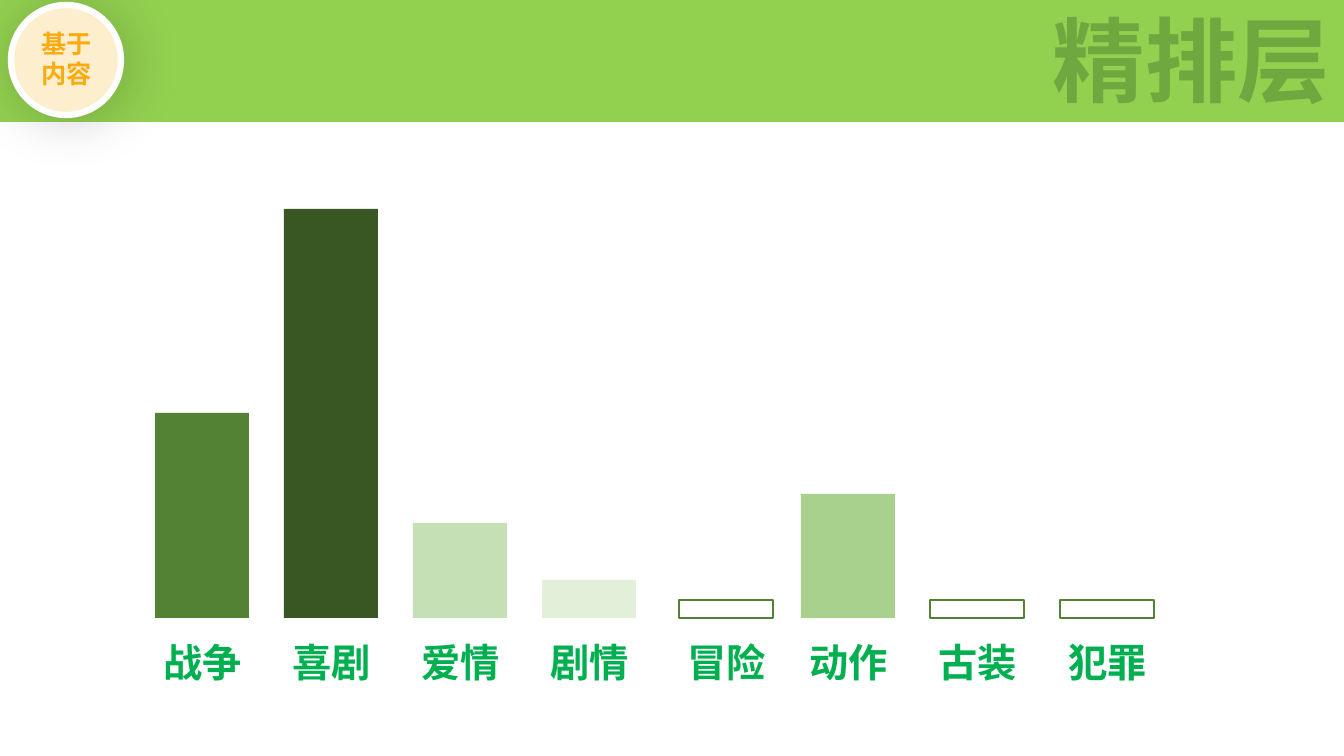
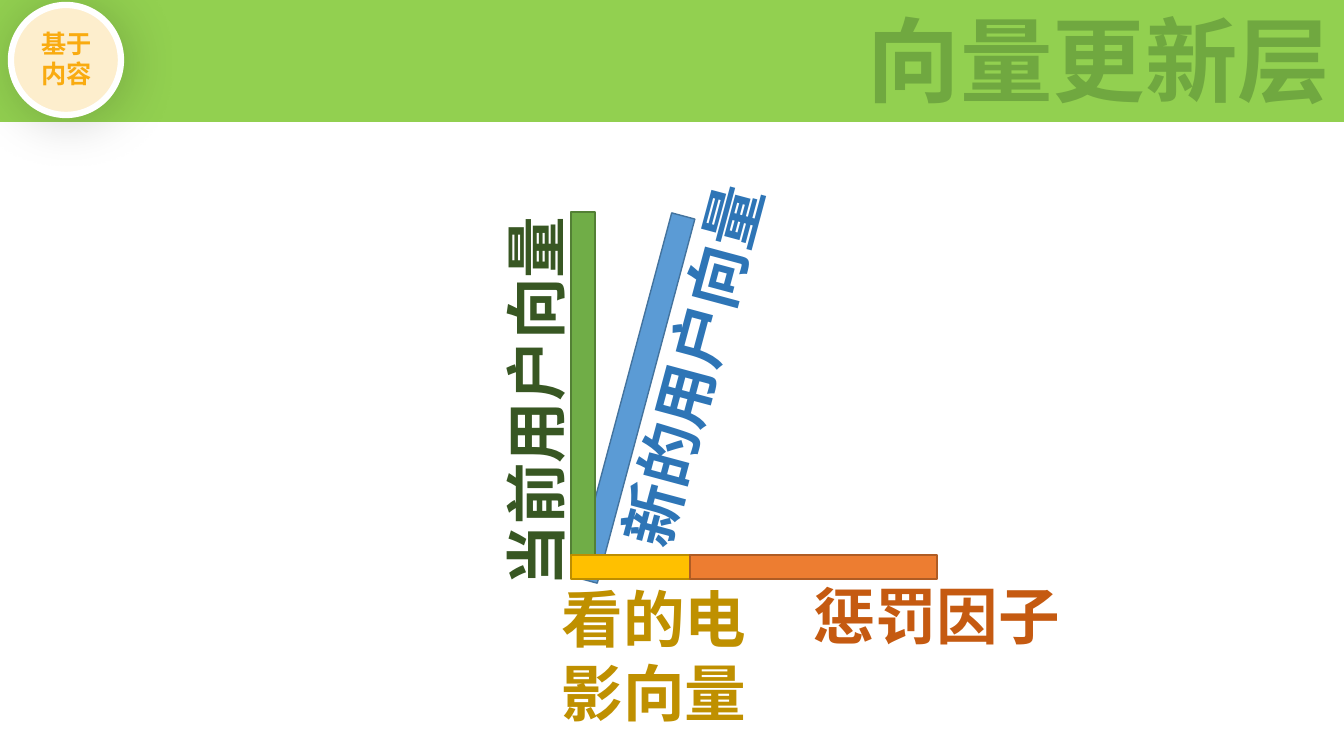
"""Builds two slides on a recommender: genre weights and the user vector update."""
import dataclasses

import lxml.etree
import pptx
import pptx.dml.color
import pptx.enum.shapes
import pptx.enum.text
import pptx.oxml.ns
import pptx.util

PIXELS_PER_INCH = 100.8
SLIDE_WIDTH, SLIDE_HEIGHT = 1344, 756
RECTANGLE = pptx.enum.shapes.MSO_SHAPE.RECTANGLE
OVAL = pptx.enum.shapes.MSO_SHAPE.OVAL
CENTER = pptx.enum.text.PP_ALIGN.CENTER
RIGHT = pptx.enum.text.PP_ALIGN.RIGHT


@dataclasses.dataclass(frozen=True)
class Theme:
    font: str = "Noto Sans CJK SC"
    title_size: int = 66
    vector_size: int = 44
    label_size: int = 28
    badge_size: int = 18
    line_spacing: float = 1.2
    thin_line: float = 1
    badge_line: float = 4.5
    white: str = "FFFFFF"
    black: str = "000000"
    band: str = "92D050"
    title: str = "70A840"
    badge_fill: str = "FDEECD"
    badge_text: str = "F9AB10"
    label: str = "00B050"
    green_darkest: str = "385723"
    green_dark: str = "548235"
    green_medium: str = "A9D18E"
    green_light: str = "C5E0B4"
    green_pale: str = "E2F0D9"
    green: str = "70AD47"
    green_line: str = "538035"
    blue: str = "5B9BD5"
    blue_line: str = "43739E"
    blue_text: str = "2E75B6"
    gold: str = "FFC000"
    gold_line: str = "BD8E00"
    gold_text: str = "BF9000"
    orange: str = "ED7D31"
    orange_line: str = "AF5C24"
    orange_text: str = "C55A11"


def px(length):
    return pptx.util.Emu(round(length * 914400 / PIXELS_PER_INCH))


def rgb(color):
    return pptx.dml.color.RGBColor.from_string(color)


class Deck:
    def __init__(self, theme):
        self.theme = theme
        self.presentation = pptx.Presentation()
        self.presentation.slide_width = px(SLIDE_WIDTH)
        self.presentation.slide_height = px(SLIDE_HEIGHT)
        self.slide = None

    def start_slide(self, title):
        layout = self.presentation.slide_layouts[5]
        self.slide = self.presentation.slides.add_slide(layout)
        self.shape((0, 0, SLIDE_WIDTH, 122), self.theme.band)
        self.title(title)
        self.badge(["基于", "内容"])

    def title(self, words):
        title = self.slide.shapes.title
        title.element.getparent().append(title.element)
        title.left, title.top, title.width, title.height = map(px, (140, 3, 1190, 112))
        frame = title.text_frame
        frame.margin_left = frame.margin_right = 0
        frame.margin_top = frame.margin_bottom = 0
        self.fill_text(title, [words], self.theme.title_size, self.theme.title, RIGHT)

    def badge(self, lines):
        group = self.slide.shapes.add_group_shape()
        disc = self.shape((11, 5, 110, 110), self.theme.badge_fill, self.theme.white,
                          kind=OVAL, line_width=self.theme.badge_line, container=group)
        self.soft_shadow(disc)
        self.text((20, 23, 93, 72), lines, self.theme.badge_size,
                  self.theme.badge_text, container=group)

    def soft_shadow(self, shape):
        qn = pptx.oxml.ns.qn
        effects = shape.element.spPr.find(qn("a:effectLst"))
        shadow = lxml.etree.SubElement(
            effects, qn("a:outerShdw"), blurRad=str(pptx.util.Pt(39)),
            dist=str(pptx.util.Pt(3)), dir=str(45 * 60000), rotWithShape="0")
        color = lxml.etree.SubElement(shadow, qn("a:srgbClr"), val=self.theme.black)
        lxml.etree.SubElement(color, qn("a:alpha"), val="19000")

    def shape(self, box, fill, line=None, rotation=0, kind=RECTANGLE,
              line_width=None, container=None):
        shapes = (container or self.slide).shapes
        shape = shapes.add_shape(kind, *map(px, box))
        shape.shadow.inherit = False
        shape.rotation = rotation
        shape.fill.solid()
        shape.fill.fore_color.rgb = rgb(fill)
        if line:
            shape.line.color.rgb = rgb(line)
            shape.line.width = pptx.util.Pt(line_width or self.theme.thin_line)
        else:
            shape.line.fill.background()
        return shape

    def text(self, box, lines, size, color, rotation=0, container=None):
        shapes = (container or self.slide).shapes
        shape = shapes.add_textbox(*map(px, box))
        shape.rotation = rotation
        self.fill_text(shape, lines, size, color, CENTER)

    def fill_text(self, shape, lines, size, color, alignment):
        frame = shape.text_frame
        frame.word_wrap = True
        frame.auto_size = pptx.enum.text.MSO_AUTO_SIZE.NONE
        frame.vertical_anchor = pptx.enum.text.MSO_ANCHOR.TOP
        for index, words in enumerate(lines):
            paragraph = frame.add_paragraph() if index else frame.paragraphs[0]
            paragraph.alignment = alignment
            paragraph.line_spacing = pptx.util.Pt(size * self.theme.line_spacing)
            run = paragraph.add_run()
            run.text = words
            run.font.name = self.theme.font
            run.font.size = pptx.util.Pt(size)
            run.font.bold = True
            run.font.color.rgb = rgb(color)
        qn = pptx.oxml.ns.qn
        for properties in shape.element.iter(qn("a:rPr")):
            lxml.etree.SubElement(properties, qn("a:ea"), typeface=self.theme.font)

    def genre_bar(self, left, height, genre, fill):
        baseline, width = 618, 94
        line = self.theme.green_dark if fill == self.theme.white else None
        self.shape((left, baseline - height, width, height), fill, line)
        self.text((left - 17, baseline + 15, 129, 57), [genre],
                  self.theme.label_size, self.theme.label)

    def vector_label(self, box, words, color, rotation=0):
        self.text(box, [words], self.theme.vector_size, color, rotation)


def build_ranking(deck):
    theme = deck.theme
    deck.start_slide("精排层")
    genres = [
        ("战争", 205, theme.green_dark, 0),
        ("喜剧", 409, theme.green_darkest, 0),
        ("爱情", 95, theme.green_light, 0),
        ("剧情", 38, theme.green_pale, 0),
        ("冒险", 18, theme.white, 7),
        ("动作", 124, theme.green_medium, 0),
        ("古装", 18, theme.white, 0),
        ("犯罪", 18, theme.white, 0),
    ]
    first, last = 155, 1060
    for index, (genre, height, fill, nudge) in enumerate(genres):
        left = first + (last - first) * index // (len(genres) - 1) + nudge
        deck.genre_bar(left, height, genre, fill)


def build_vector_update(deck):
    theme = deck.theme
    deck.start_slide("向量更新层")
    deck.vector_label((478, 323, 429, 85), "新的用户向量", theme.blue_text, 285)
    deck.vector_label((543, 576, 222, 159), "看的电影向量", theme.gold_text)
    deck.vector_label((338, 359, 394, 85), "当前用户向量", theme.green_darkest, 270)
    deck.vector_label((792, 573, 290, 85), "惩罚因子", theme.orange_text)
    deck.shape((446, 386, 377, 24), theme.blue, theme.blue_line, 285)
    deck.shape((400, 383, 366, 24), theme.green, theme.green_line, 270)
    deck.shape((571, 555, 119, 24), theme.gold, theme.gold_line)
    deck.shape((690, 555, 247, 24), theme.orange, theme.orange_line)


def main():
    deck = Deck(Theme())
    build_ranking(deck)
    build_vector_update(deck)
    deck.presentation.save("out.pptx")


if __name__ == "__main__":
    main()
